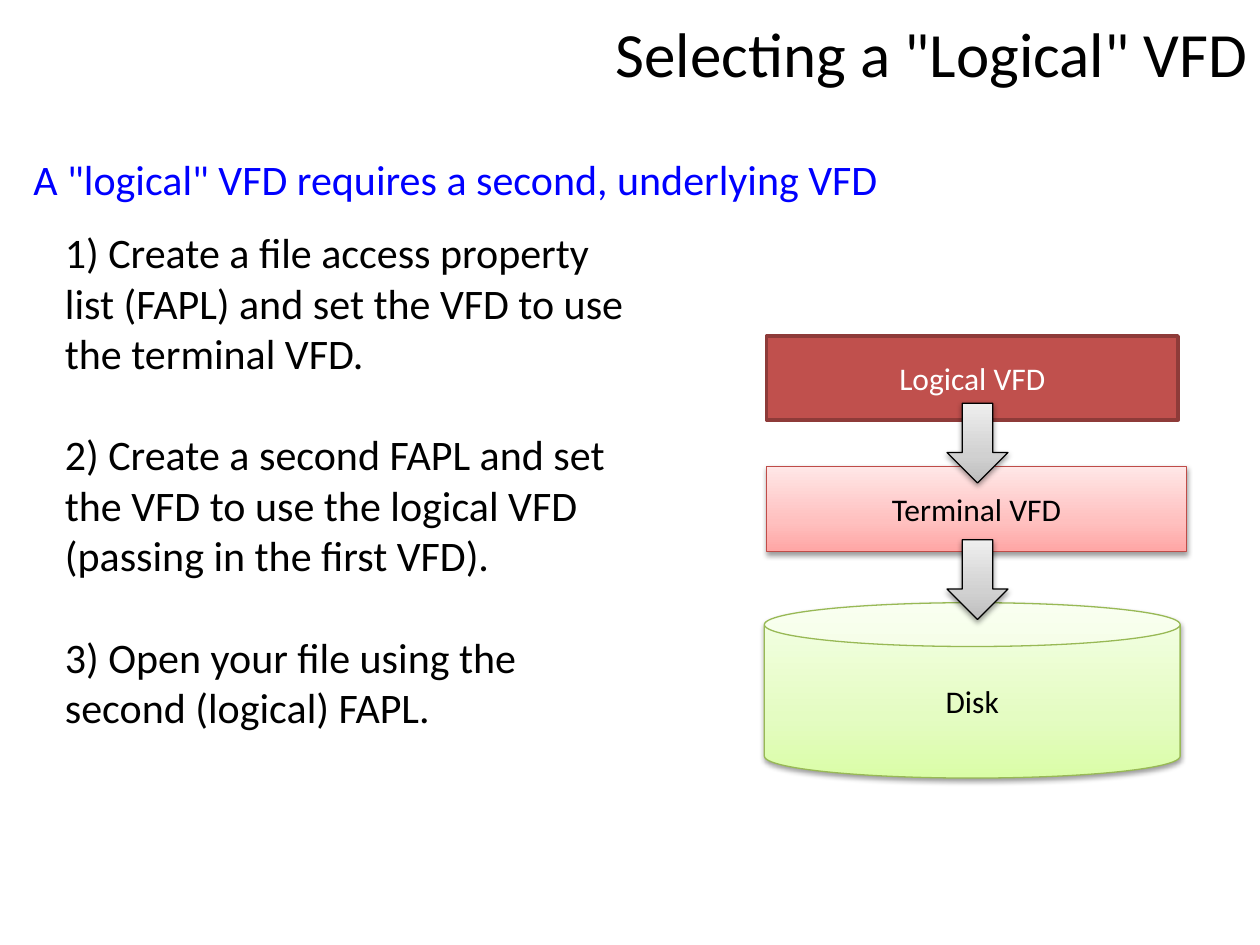
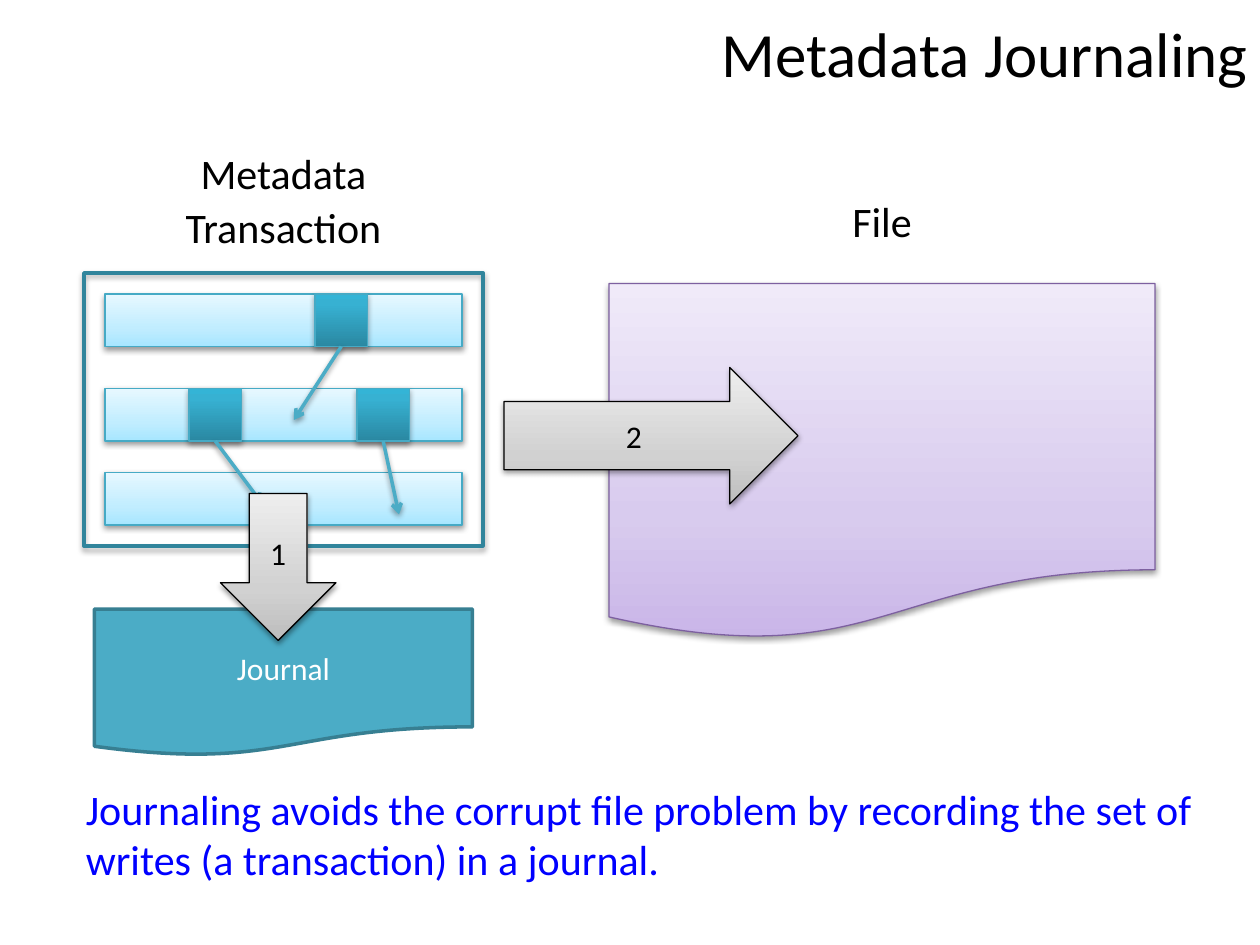
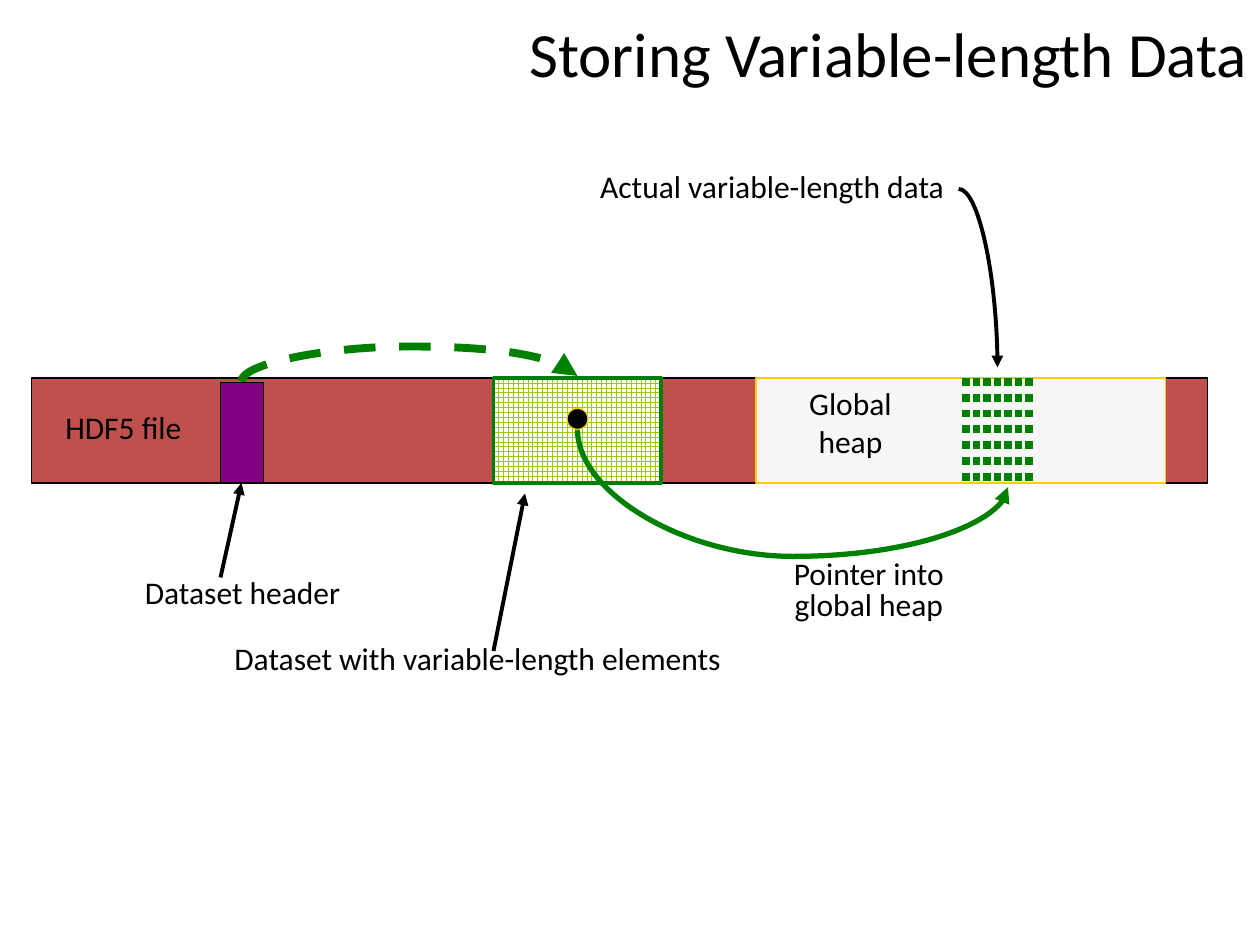
import pptx
import pptx.dml.color
import pptx.enum.dml
import pptx.enum.shapes
import pptx.enum.text
import pptx.oxml.ns
import pptx.oxml.xmlchemy
import pptx.util
from lxml import etree

RGBColor = pptx.dml.color.RGBColor
Pt = pptx.util.Pt
SHAPE = pptx.enum.shapes.MSO_SHAPE
CONNECTOR = pptx.enum.shapes.MSO_CONNECTOR
ALIGN = pptx.enum.text.PP_ALIGN
ANCHOR = pptx.enum.text.MSO_ANCHOR
DASH = pptx.enum.dml.MSO_LINE
qn = pptx.oxml.ns.qn

# The slide is a grid of 120 columns by 90 rows of square cells.
COLUMNS, ROWS = 120, 90
CELL = pptx.util.Inches(10) / COLUMNS
FONT = "Calibri"

BLACK = RGBColor(0, 0, 0)
WHITE = RGBColor(255, 255, 255)
BLUE = RGBColor(0, 0, 255)
GREEN = RGBColor(0, 0x80, 0)
LIME = RGBColor(0x99, 0xCC, 0)
PURPLE = RGBColor(0x80, 0, 0x80)
GOLD = RGBColor(0xFF, 0xCC, 0)
PALE_GREY = RGBColor(0xF7, 0xF7, 0xF7)
RED = RGBColor(0xC0, 0x50, 0x4D)
DARK_RED = RGBColor(0x8E, 0x3B, 0x39)
TERMINAL_EDGE = RGBColor(0xBF, 0x4C, 0x48)
DISK_EDGE = RGBColor(0x98, 0xB9, 0x55)
FILE_EDGE = RGBColor(0x7D, 0x60, 0xA0)
AQUA = RGBColor(0x4B, 0xAC, 0xC6)
AQUA_EDGE = RGBColor(0x46, 0xAA, 0xC5)
JOURNAL_EDGE = RGBColor(0x37, 0x7F, 0x92)
FRAME_EDGE = RGBColor(0x31, 0x85, 0x9C)


def ramp(low, middle, high, turn=35):
    """Return gradient stops from the bottom of a shape to its top."""
    return [(0, RGBColor.from_string(low)), (turn, RGBColor.from_string(middle)),
            (100, RGBColor.from_string(high))]


GREY_RAMP = ramp("BDBDBD", "D1D1D1", "EEEEEE")
RED_RAMP = ramp("FFA6A5", "FFC0BF", "FFE7E7")
GREEN_RAMP = ramp("DAFDA7", "E4FCC2", "F5FFE7")
PURPLE_RAMP = ramp("C9B5E8", "D8CBEE", "F0EAF9")
AQUA_RAMP = ramp("A7E6FF", "C1EDFF", "E7F8FF")
TEAL_RAMP = ramp("2A88A2", "37B1D2", "34B4D6", turn=80)

SOFT = (38, 1.57)  # opacity in percent, distance in points
DEEP = (35, 1.81)


def grid(*cells):
    """Turn grid counts into lengths."""
    return [pptx.util.Emu(round(cell * CELL)) for cell in cells]


def add_node(parent, tag, **attributes):
    """Append a DrawingML node with attributes."""
    node = etree.SubElement(parent, qn(tag))
    for key, value in attributes.items():
        node.set(key, str(value))
    return node


def add_color(parent, color):
    """Append an RGB colour node."""
    return add_node(parent, "a:srgbClr", val=color)


def add_shadow(effects, shadow):
    """Put a downward shadow into an effect list."""
    opacity, distance = shadow
    cast = add_node(effects, "a:outerShdw", blurRad=Pt(3.15), dist=Pt(distance),
                    dir=5400000, rotWithShape=0)
    add_node(add_color(cast, BLACK), "a:alpha", val=opacity * 1000)


def write(frame, text, size=18, color=BLACK, align=ALIGN.CENTER, anchor=ANCHOR.TOP,
          leading=None, before=0, after=0, wrap=True):
    """Fill a text frame, one paragraph per line of text; \\v breaks a line."""
    frame.word_wrap = wrap
    frame.vertical_anchor = anchor
    for number, line in enumerate(text.split("\n")):
        paragraph = frame.add_paragraph() if number else frame.paragraphs[0]
        paragraph.text = line
        paragraph.alignment = align
        paragraph.line_spacing = leading
        paragraph.space_before, paragraph.space_after = Pt(before), Pt(after)
        for run in paragraph.runs:
            run.font.name, run.font.size = FONT, Pt(size)
            run.font.color.rgb = color


def add_label(slide, box, text, **style):
    """Add a text box on the grid."""
    write(slide.shapes.add_textbox(*grid(*box)).text_frame, text, **style)


def add_title(slide, text):
    """Add the slide title at the top right."""
    add_label(slide, (17, 0, 103, 10), text, size=36, align=ALIGN.RIGHT,
              anchor=ANCHOR.MIDDLE)


def add_statement(slide, box, text):
    """Add a blue key sentence."""
    add_label(slide, box, text, size=24, color=BLUE, align=ALIGN.LEFT, before=4.8)


def add_block(slide, kind, box, fill, edge, width=0.75, shadow=None, text="",
              color=BLACK):
    """Add a shape; fill is a colour, a list of gradient stops or None."""
    block = slide.shapes.add_shape(kind, *grid(*box))
    if fill is None:
        block.fill.background()
    elif isinstance(fill, list):
        block.fill.gradient()
        block.fill.gradient_angle = 90
        stops = block._element.spPr.find(".//" + qn("a:gsLst"))
        for stop in list(stops):
            stops.remove(stop)
        for position, tint in fill:
            add_color(add_node(stops, "a:gs", pos=position * 1000), tint)
    else:
        block.fill.solid()
        block.fill.fore_color.rgb = fill
    block.line.color.rgb = edge
    block.line.width = Pt(width)
    block.shadow.inherit = False
    if shadow:
        add_shadow(block._element.spPr.find(qn("a:effectLst")), shadow)
    if text:
        write(block.text_frame, text, color=color, anchor=ANCHOR.MIDDLE)
    return block


def add_line(shapes, start, end, color=BLACK, width=2.25, kind=CONNECTOR.STRAIGHT,
             dash=None, head="triangle", shadow=None):
    """Add a connector with an optional dash, arrowhead and shadow."""
    line = shapes.add_connector(kind, *grid(*start, *end))
    line.line.color.rgb = color
    line.line.width = Pt(width)
    if dash:
        line.line.dash_style = dash
    if head:
        add_node(line.line._get_or_add_ln(), "a:tailEnd", type=head)
    effects = add_node(line._element.spPr, "a:effectLst")
    if shadow:
        add_shadow(effects, shadow)
    return line


def add_bend(slide, start, end, **style):
    """Add a quarter curve that leaves sideways and arrives downwards."""
    bend = add_line(slide.shapes, start, end, kind=CONNECTOR.CURVE, **style)
    bend._element.spPr.find(qn("a:prstGeom")).set("prst", "curvedConnector2")


def add_arc(slide, start, end, crest, **style):
    """Add a curve from left to right that swings out to the row of its crest."""
    (x1, y1), (x2, y2) = start, end
    run, rise = x2 - x1, y2 - y1
    middle_x, middle_y = (x1 + x2) / 2, (y1 + y2) / 2
    # Turned by 270 degrees, the box has its width and height swapped.
    arc = add_line(slide.shapes, (middle_x + rise / 2, middle_y - run / 2),
                   (middle_x - rise / 2, middle_y + run / 2),
                   kind=CONNECTOR.CURVE, color=GREEN, **style)
    properties = arc._element.spPr
    properties.find(qn("a:xfrm")).set("rot", str(270 * 60000))
    geometry = properties.find(qn("a:prstGeom"))
    guides = geometry.find(qn("a:avLst"))
    if guides is None:
        guides = add_node(geometry, "a:avLst")
    swing = round((crest - y1) / rise * 100000)
    add_node(guides, "a:gd", name="adj1", fmla=f"val {swing}")


def build_logical_vfd(slide):
    """Steps for a logical VFD, beside its stack of layers."""
    add_title(slide, 'Selecting a "Logical" VFD')
    steps = ("1) Create a file access property list (FAPL) and set the VFD to use "
             "the terminal VFD.\n"
             "2) Create a second FAPL and set the VFD to use the logical VFD "
             "(passing in the first VFD).\n"
             "3) Open your file using the second (logical) FAPL.")
    add_label(slide, (5, 21, 56, 49.7), steps, size=24, align=ALIGN.LEFT, after=29.2)
    add_statement(slide, (2, 14, 113, 9),
                  'A "logical" VFD requires a second, underlying VFD ')
    add_block(slide, SHAPE.RECTANGLE, (73, 32, 39.2, 8), RED, DARK_RED, width=2,
              text="Logical VFD", color=WHITE)
    add_block(slide, SHAPE.CAN, (72.8, 57.4, 39.6, 16.7), GREEN_RAMP, DISK_EDGE,
              shadow=SOFT, text="Disk")
    add_block(slide, SHAPE.RECTANGLE, (73, 44.4, 40, 8.1), RED_RAMP, TERMINAL_EDGE,
              shadow=SOFT, text="Terminal VFD")
    for top in (38.4, 51.4):
        add_block(slide, SHAPE.DOWN_ARROW, (90.2, top, 5.8, 7.6), GREY_RAMP, BLACK,
                  shadow=SOFT)


def build_journaling(slide):
    """A metadata transaction goes to the journal first, then to the file."""
    add_title(slide, "Metadata Journaling")
    add_block(slide, SHAPE.FLOWCHART_DOCUMENT, (58, 27, 52, 34), PURPLE_RAMP,
              FILE_EDGE, shadow=SOFT)
    add_label(slide, (58, 18, 52, 7), "File", size=24, before=4.8)
    add_label(slide, (8, 14, 38, 11), "Metadata\nTransaction", size=24,
              leading=0.9, before=4.8)

    side = 5
    for top in (28, 45, 37):
        add_block(slide, SHAPE.RECTANGLE, (10, top, 34, side), AQUA_RAMP, AQUA_EDGE,
                  shadow=SOFT)
    references = [((30, 28), (28, 40)), ((18, 37), (25, 48)), ((34, 37), (38, 49))]
    for (left, top), _ in references:
        add_block(slide, SHAPE.RECTANGLE, (left, top, side, side), TEAL_RAMP,
                  AQUA_EDGE, shadow=DEEP)
    for (left, top), target in references:
        add_line(slide.shapes, (left + side / 2, top + side), target, color=AQUA,
                 width=2, head="arrow", shadow=SOFT)

    add_block(slide, SHAPE.RIGHT_ARROW, (48, 35, 28, 13), GREY_RAMP, BLACK,
              shadow=SOFT, text="2")
    add_statement(slide, (7, 74, 109, 11),
                  "Journaling avoids the corrupt file problem by recording the set "
                  "of writes (a transaction) in a journal.")
    add_block(slide, SHAPE.RECTANGLE, (8, 26, 38, 26), None, FRAME_EDGE, width=2,
              shadow=DEEP)
    add_block(slide, SHAPE.FLOWCHART_DOCUMENT, (9, 58, 36, 14), AQUA, JOURNAL_EDGE,
              width=2, text="Journal", color=WHITE)
    add_block(slide, SHAPE.DOWN_ARROW, (21, 47, 11, 14), GREY_RAMP, BLACK,
              shadow=SOFT, text="1")


def build_variable_length(slide):
    """Layout of a file whose dataset points into the global heap."""
    top, height = 36, 10
    bottom = top + height
    add_block(slide, SHAPE.RECTANGLE, (3, top, 112, height), RED, BLACK)
    add_title(slide, "Storing Variable-length Data")
    add_block(slide, SHAPE.RECTANGLE, (72, top, 39, height), PALE_GREY, GOLD)
    heap_data = slide.shapes.add_group_shape().shapes
    for column in range(92, 99):
        add_line(heap_data, (column, top), (column, bottom), color=GREEN, width=4.5,
                 dash=DASH.ROUND_DOT, head=None)
    add_label(slide, (75, top, 12, 8.5), "Global heap")
    add_label(slide, (55.8, 16, 35.5, 4.1), "Actual variable-length data",
              leading=0.8, wrap=False)
    add_bend(slide, (91.3, 18), (95, 35))

    dataset = add_block(slide, SHAPE.RECTANGLE, (47, top, 16, height), WHITE, GREEN,
                        width=2.25)
    dataset.fill.patterned()
    dataset.fill.pattern = pptx.enum.dml.MSO_PATTERN.LARGE_GRID
    dataset.fill.fore_color.rgb = LIME
    dataset.fill.back_color.rgb = WHITE
    add_arc(slide, (55, 40.9), (96, 46.4), crest=53, width=3)
    add_block(slide, SHAPE.OVAL, (54, 38.9, 2, 2), BLACK, GOLD)

    add_label(slide, (20, 61, 51, 4.1), "Dataset with variable-length elements",
              leading=0.8)
    add_label(slide, (74.3, 52.9, 16.9, 7.1), "Pointer into\vglobal heap",
              leading=0.8, wrap=False)
    add_label(slide, (4.9, 39, 13.7, 4.2), "HDF5 file", leading=0.8, wrap=False)
    add_block(slide, SHAPE.RECTANGLE, (21, 36.4, 4.1, 9.6), PURPLE, BLACK)
    add_label(slide, (12.5, 54, 21.2, 4.8), "Dataset header", wrap=False)
    add_line(slide.shapes, (21, 55), (23, bottom))
    add_arc(slide, (23, 36.3), (55, 35.8), crest=33, width=4.5, dash=DASH.DASH)
    add_line(slide.shapes, (47, 62), (50, 47))


def main():
    """Build the three slides and save them."""
    deck = pptx.Presentation()
    deck.slide_width, deck.slide_height = grid(COLUMNS, ROWS)
    for build in (build_logical_vfd, build_journaling, build_variable_length):
        build(deck.slides.add_slide(deck.slide_layouts[6]))
    deck.save("out.pptx")


main()
